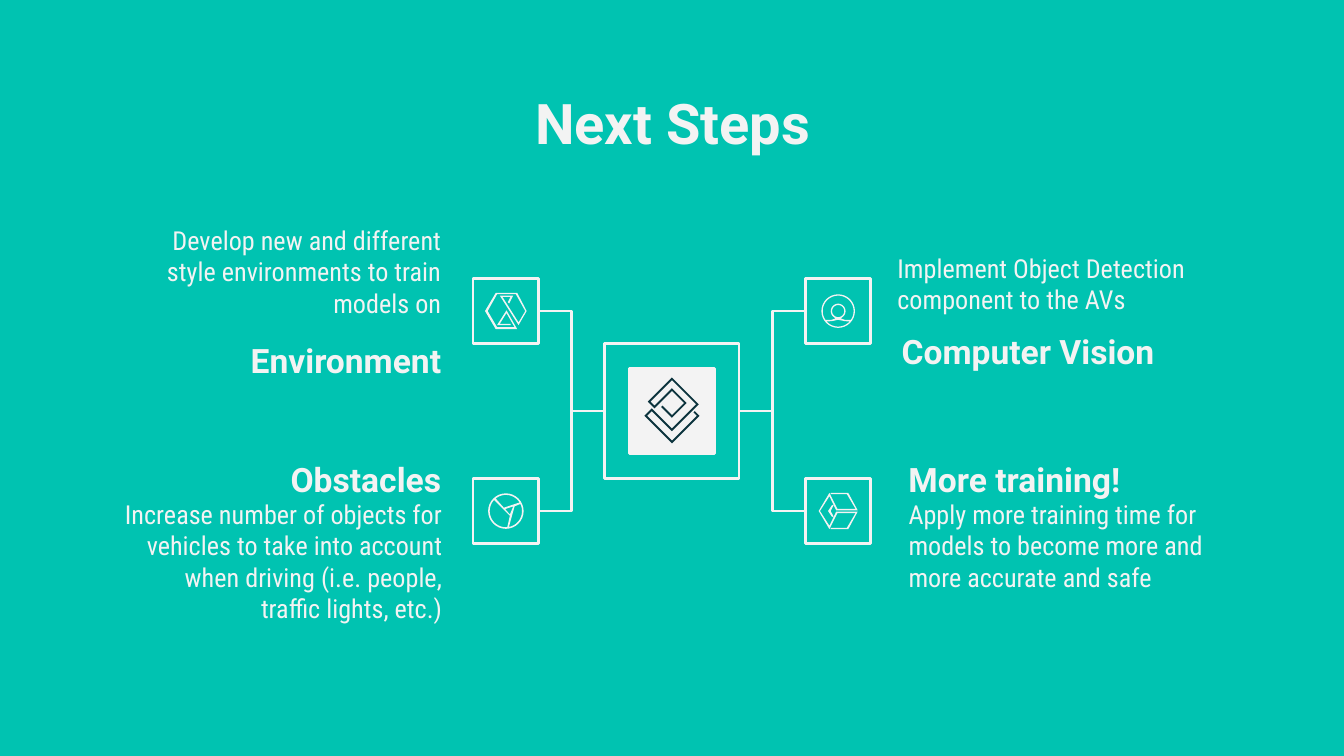
"""Build the Next Steps slide: a central hub linked to four planned improvements."""
import math
from dataclasses import dataclass

import lxml.etree
import pptx
import pptx.dml.color
import pptx.enum.shapes
import pptx.enum.text
import pptx.oxml.ns
import pptx.util

Cm = pptx.util.Cm
Align = pptx.enum.text.PP_ALIGN
Anchor = pptx.enum.text.MSO_ANCHOR
Point = tuple[float, float]
Contour = list[Point]
Box = tuple[float, float, float, float]

COLORS = {"background": "00C3B1", "light": "F3F3F3", "dark": "0C343D"}
HUB_X, HUB_Y, HUB_SIDE, CORE_SIDE = 12.7, 7.77, 2.54, 1.6
NODE_DX, NODE_DY, NODE_SIDE = 3.14, 1.89, 1.24
ICON_UNIT = Cm(2.54) / 100
SITE_LEFT, SITE_RIGHT = 1, 3


def arc(radius: float, start: float, end: float) -> Contour:
    """Return points along an arc about the icon centre, angles in degrees clockwise."""
    count = 32
    angles = [math.radians(start + (end - start) * i / count) for i in range(count + 1)]
    return [(radius * math.cos(a), radius * math.sin(a)) for a in angles]


HUB_ICON = [[
    (0, -25), (-18, -7), (-13, -2), (0, -15), (9, -6), (0, 3), (-7, -4), (-8, -3),
    (0, 5), (11, -6), (0, -17), (-13, -4), (-16, -7), (0, -23), (18, -5), (0, 13),
    (-15, -2), (-20.5, 3.5), (0, 24), (20.5, 3.5), (17, 0), (16, 1), (18.5, 3.5),
    (0, 22), (-18.5, 3.5), (-15, 0), (0, 15), (20, -5),
]]
HOURGLASS_ICON = [[
    (-7.5, -13.5), (-15.5, 0), (-7.5, 13.5), (8.5, 13.5), (0.5, -0.5), (-6.5, 10.5),
    (3.5, 10.5), (3.5, 9.5), (-4.5, 9.5), (0.5, 1.5), (6.5, 12), (-6.5, 12),
    (-13.5, 0), (-6.5, -12.5), (7.5, -12.5), (14.5, 0), (9.5, 8.5), (-2.5, -10.5),
    (3.5, -10.5), (1.5, -6.5), (2.5, -5.5), (5.5, -11.5), (-4.5, -11.5), (9.5, 10.5),
    (15.5, 0), (8.5, -13.5),
]]
EYE_ICON = [
    arc(12.5, 0, 360),
    arc(11.5, 145, 395) + [(5, 6.5), (2, 5.5)] + arc(5.5, 55, -235) + [(-2, 5.5), (-5, 6.5)],
    arc(11.5, 42, 138) + [(-5, 7.5), (0, 6.5), (5, 7.5)],
    arc(4.5, 0, 360),
]
PIE_ICON = [
    arc(13.2, 0, 360),
    arc(12, -129, -32) + [(-1.5, -2.5)],
    [(5.5, -3.5), (3, 2.5), (-0.5, -1.5)],
    arc(12, -26, 79) + [(6.5, -3.5)],
    arc(12, 85, 223) + [(3, 3.5)][:0] + [(-2, -1.5), (3, 3.5)],
]
CUBE_ICON = [
    [(7.5, -13.5), (-5.5, -13.5), (-5.5, -12.5), (6.5, -12.5), (13, -1.5), (-0.5, -1.5),
     (-6.5, -13.5), (-14.5, 0), (-6.5, 13.5), (-0.5, 1.5), (13, 1.5), (6.5, 12.5),
     (-5.5, 12.5), (-5.5, 13.5), (7.5, 13.5), (14.5, 0.5), (-1.5, 0.5), (-6.5, 11),
     (-13.5, 0), (-6.5, -11), (-1.5, -0.5), (14.5, -0.5)],
    [(-4.5, -4.5), (-7.5, 0), (-4.5, 4.5), (-3.5, 4), (-5.5, 0), (-3.5, -4)],
]


@dataclass
class Step:
    """One improvement, placed by its side and row around the hub."""
    heading: str
    detail: str
    side: int
    row: int
    heading_box: Box
    detail_box: Box
    icon: list[Contour]


STEPS = [
    Step("Environment", "Develop new and different style environments to train models on",
         -1, -1, (2.39, 6.3, 6.2, 1.02), (2.39, 3.99, 6.2, 1.96), HOURGLASS_ICON),
    Step("Computer Vision", "Implement Object Detection component to the AVs",
         1, -1, (16.79, 6.12, 6.1, 1.02), (16.71, 4.52, 6.5, 1.6), EYE_ICON),
    Step("Obstacles", "Increase number of objects for vehicles to take into account "
         "when driving (i.e. people, traffic lights, etc.)",
         -1, 1, (2.39, 8.43, 6.2, 1.02), (2.01, 9.17, 6.6, 1.96), PIE_ICON),
    Step("More training!", "Apply more training time for models to become more and more "
         "accurate and safe",
         1, 1, (16.92, 8.43, 6.1, 1.02), (16.92, 9.17, 6.1, 1.96), CUBE_ICON),
]


def color(name: str) -> pptx.dml.color.RGBColor:
    """Look up a named colour."""
    return pptx.dml.color.RGBColor.from_string(COLORS[name])


def write(holder, box: Box, text: str, size: float, font: str, bold: bool, align, anchor) -> None:
    """Place a text holder and fill it with one formatted run."""
    holder.left, holder.top, holder.width, holder.height = map(Cm, box)
    frame = holder.text_frame
    frame.word_wrap = True
    frame.auto_size = pptx.enum.text.MSO_AUTO_SIZE.NONE
    frame.vertical_anchor = anchor
    frame.margin_left = frame.margin_right = frame.margin_top = frame.margin_bottom = Cm(0.25)
    paragraph = frame.paragraphs[0]
    properties = paragraph._p.get_or_add_pPr()
    properties.set("marL", "0")
    properties.set("indent", "0")
    lxml.etree.SubElement(properties, pptx.oxml.ns.qn("a:buNone"))
    paragraph.alignment = align
    paragraph.space_before = pptx.util.Pt(0)
    run = paragraph.add_run()
    run.text = text
    run.font.size = pptx.util.Pt(size)
    run.font.name = font
    run.font.bold = bold
    run.font.color.rgb = color("light")


def draw_square(shapes, x: float, y: float, side: float, filled: bool = False):
    """Draw an outlined square centred on a point."""
    square = shapes.add_shape(pptx.enum.shapes.MSO_SHAPE.RECTANGLE,
                              Cm(x - side / 2), Cm(y - side / 2), Cm(side), Cm(side))
    square.shadow.inherit = False
    if filled:
        square.fill.solid()
        square.fill.fore_color.rgb = color("light")
    else:
        square.fill.background()
    square.line.color.rgb = color("light")
    square.line.width = pptx.util.Pt(1.5)
    return square


def draw_icon(shapes, x: float, y: float, contours: list[Contour], fill: str) -> None:
    """Draw contours as one filled freeform centred on a point."""
    scaled = [[(px * ICON_UNIT, py * ICON_UNIT) for px, py in contour] for contour in contours]
    builder = shapes.build_freeform(*scaled[0][0])
    builder.add_line_segments(scaled[0][1:])
    for contour in scaled[1:]:
        builder.move_to(*contour[0])
        builder.add_line_segments(contour[1:])
    icon = builder.convert_to_shape(Cm(x), Cm(y))
    icon.shadow.inherit = False
    icon.fill.solid()
    icon.fill.fore_color.rgb = color(fill)
    icon.line.fill.background()


def draw_link(shapes, hub, node, side: int) -> None:
    """Join the hub to a node with an elbow connector."""
    link = shapes.add_connector(pptx.enum.shapes.MSO_CONNECTOR.ELBOW, 0, 0, 0, 0)
    link.begin_connect(hub, SITE_RIGHT if side > 0 else SITE_LEFT)
    link.end_connect(node, SITE_LEFT if side > 0 else SITE_RIGHT)
    link.line.color.rgb = color("light")
    link.line.width = pptx.util.Pt(1.5)
    lxml.etree.SubElement(link._element.spPr, pptx.oxml.ns.qn("a:effectLst"))


def draw_step(shapes, hub, step: Step, detail_holder) -> None:
    """Draw a step's texts, node, icon and link."""
    align = Align.RIGHT if step.side < 0 else Align.LEFT
    anchor = Anchor.MIDDLE if step.row < 0 else Anchor.TOP
    write(detail_holder, step.detail_box, step.detail, 14, "Roboto Condensed", False,
          align, Anchor.TOP)
    heading = shapes.add_textbox(0, 0, 0, 0)
    write(heading, step.heading_box, step.heading, 18, "Roboto", True, align, anchor)
    x, y = HUB_X + step.side * NODE_DX, HUB_Y + step.row * NODE_DY
    node = draw_square(shapes, x, y, NODE_SIDE)
    draw_icon(shapes, x, y, step.icon, "light")
    draw_link(shapes, hub, node, step.side)


def main() -> None:
    """Build and save the deck."""
    deck = pptx.Presentation()
    deck.slide_width, deck.slide_height = Cm(25.4), Cm(14.29)
    slide = deck.slides.add_slide(deck.slide_layouts.get_by_name("Comparison"))
    slide.background.fill.solid()
    slide.background.fill.fore_color.rgb = color("background")
    title, *detail_holders = list(slide.placeholders)
    write(title, (2.01, 1.42, 21.41, 1.6), "Next Steps", 30, "Roboto", True,
          Align.CENTER, Anchor.TOP)
    hub = draw_square(slide.shapes, HUB_X, HUB_Y, HUB_SIDE)
    draw_square(slide.shapes, HUB_X, HUB_Y, CORE_SIDE, filled=True)
    draw_icon(slide.shapes, HUB_X, HUB_Y, HUB_ICON, "dark")
    for step, detail_holder in zip(STEPS, detail_holders):
        draw_step(slide.shapes, hub, step, detail_holder)
    deck.save("out.pptx")


if __name__ == "__main__":
    main()
